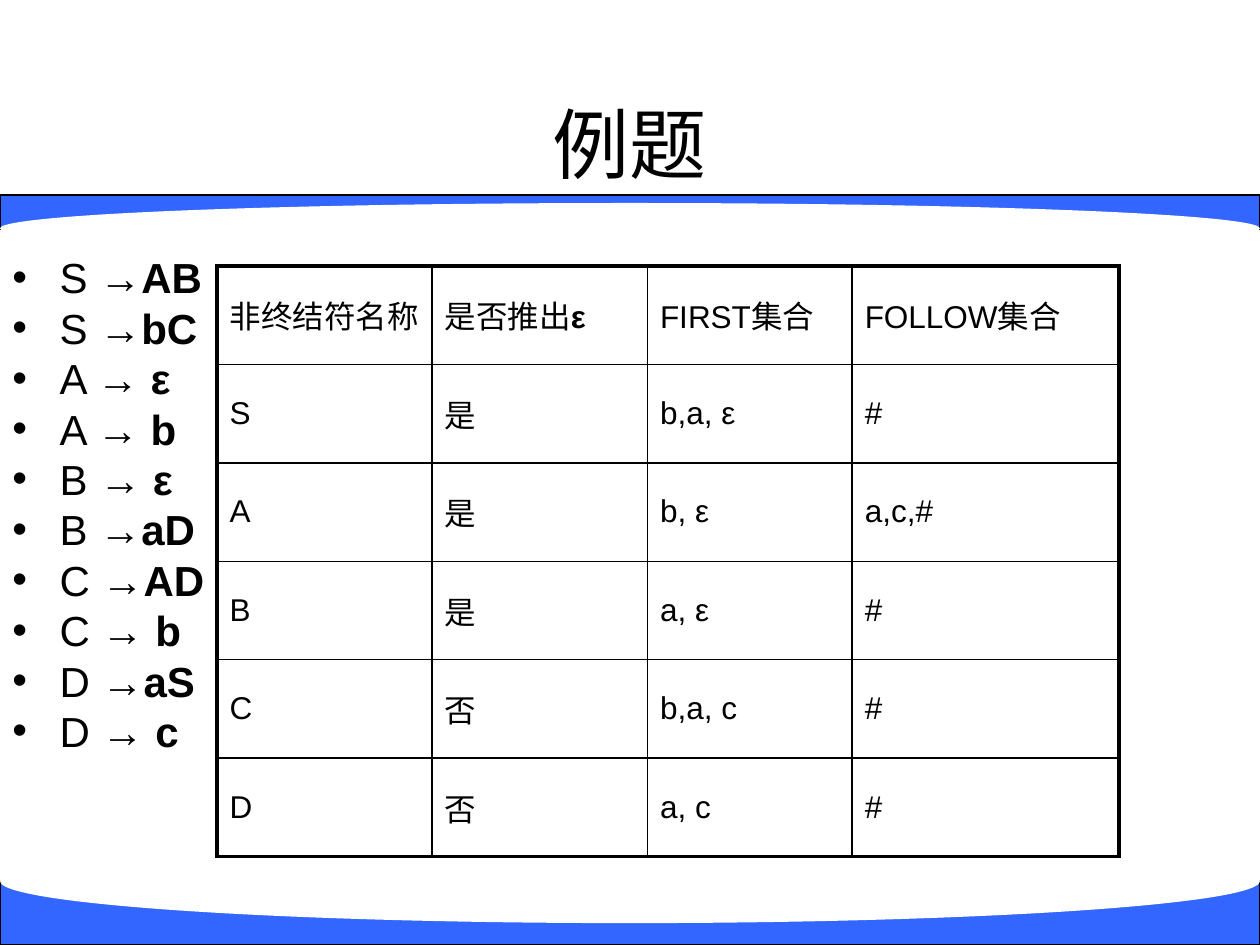
from lxml import etree
from pptx import Presentation
from pptx import util as u
from pptx.dml.color import RGBColor
from pptx.enum import shapes, text
from pptx.oxml import ns

Pt = u.Pt
BLACK, WHITE, BLUE = "000000", "FFFFFF", "3366FF"
LEFT, CENTER = text.PP_ALIGN.LEFT, text.PP_ALIGN.CENTER
MIDDLE, TOP = text.MSO_ANCHOR.MIDDLE, text.MSO_ANCHOR.TOP


def color(value):
    return RGBColor.from_string(value)


def write(paragraph, runs, size=18, align=LEFT, before=0, spacing=None, bullet=None, indent=0):
    """Fill a paragraph with (text, bold) runs; indent is a hanging indent in points."""
    if bullet:
        properties = paragraph._p.get_or_add_pPr()
        properties.set("marL", str(Pt(indent)))
        properties.set("indent", str(-Pt(indent)))
        etree.SubElement(properties, ns.qn("a:buFont"), typeface="Arial")
        etree.SubElement(properties, ns.qn("a:buChar"), char=bullet)
    paragraph.alignment = align
    paragraph.space_before = Pt(before)
    if spacing:
        paragraph.line_spacing = spacing
    for content, bold in runs:
        run = paragraph.add_run()
        run.text = content
        run.font.name = "Arial"
        run.font.size = Pt(size)
        run.font.bold = bold
        run.font.color.rgb = color(BLACK)


def set_borders(cell, widths):
    """Draw the left, right, top and bottom borders, widths in points."""
    properties = cell._tc.get_or_add_tcPr()
    for index, (side, width) in enumerate(zip("LRTB", widths)):
        line = etree.Element(ns.qn(f"a:ln{side}"), w=str(Pt(width)))
        fill = etree.SubElement(line, ns.qn("a:solidFill"))
        etree.SubElement(fill, ns.qn("a:srgbClr"), val=BLACK)
        properties.insert(index, line)


class SlideBuilder:
    """Holds the slide being drawn and the shared line widths."""

    inner_line, outer_line = 1, 2.25

    def __init__(self, slide):
        self.slide = slide

    def shape(self, group, kind, box, fill, line=None):
        shape = group.shapes.add_shape(kind, *map(Pt, box))
        shape.shadow.inherit = False
        shape.fill.solid()
        shape.fill.fore_color.rgb = color(fill)
        if line:
            shape.line.color.rgb = color(line)
            shape.line.width = Pt(0.75)
        else:
            shape.line.fill.background()

    def curved_band(self, band, curve):
        """Draw a blue band whose inner edge is cut by a white ellipse."""
        group = self.slide.shapes.add_group_shape()
        self.shape(group, shapes.MSO_SHAPE.RECTANGLE, band, BLUE, BLACK)
        self.shape(group, shapes.MSO_SHAPE.OVAL, curve, WHITE)

    def text_box(self, box, paragraphs, anchor=TOP, before=0, **format):
        frame = self.slide.shapes.add_textbox(*map(Pt, box)).text_frame
        frame.word_wrap = True
        frame.vertical_anchor = anchor
        for index, runs in enumerate(paragraphs):
            paragraph = frame.add_paragraph() if index else frame.paragraphs[0]
            write(paragraph, runs, before=before if index else 0, **format)

    def table(self, left, top, widths, row_height, rows):
        height = row_height * len(rows)
        frame = self.slide.shapes.add_table(
            len(rows), len(widths), Pt(left), Pt(top), Pt(sum(widths)), Pt(height))
        table = frame.table
        table.first_row = table.horz_banding = False
        for column, width in zip(table.columns, widths):
            column.width = Pt(width)
        last_row, last_column = len(rows) - 1, len(widths) - 1
        for r, row in enumerate(rows):
            table.rows[r].height = Pt(row_height)
            for c, runs in enumerate(row):
                cell = table.cell(r, c)
                cell.vertical_anchor = MIDDLE
                cell.fill.background()
                edges = (c == 0, c == last_column, r == 0, r == last_row)
                set_borders(cell, [self.outer_line if edge else self.inner_line for edge in edges])
                write(cell.text_frame.paragraphs[0], runs)


PRODUCTIONS = [
    ("S", "→AB"), ("S", "→bC"), ("A", "→ ε"), ("A", "→ b"), ("B", "→ ε"),
    ("B", "→aD"), ("C", "→AD"), ("C", "→ b"), ("D", "→aS"), ("D", "→ c"),
]
HEADER = [
    [("非终结符名称", False)],
    [("是否推出", False), ("ε", True)],
    [("FIRST集合", False)],
    [("FOLLOW集合", False)],
]
SETS = [
    ("S", "是", "b,a, ε", "#"),
    ("A", "是", "b, ε", "a,c,#"),
    ("B", "是", "a, ε", "#"),
    ("C", "否", "b,a, c", "#"),
    ("D", "否", "a, c", "#"),
]


def main():
    presentation = Presentation()
    presentation.slide_width, presentation.slide_height = Pt(720), Pt(540)
    builder = SlideBuilder(presentation.slides.add_slide(presentation.slide_layouts[6]))

    builder.curved_band((0, 111.5, 720, 19.5), (0, 116, 720, 29))
    builder.curved_band((0, 503, 720, 37), (0, 479.5, 720, 48))
    builder.text_box((24, 54, 672, 55.5), [[("例题", False)]],
                     anchor=MIDDLE, size=44, align=CENTER)
    rules = [[(f"{symbol} ", False), (body, True)] for symbol, body in PRODUCTIONS]
    builder.text_box((0, 146, 139, 306), rules, size=24, before=5.76,
                     spacing=0.8, bullet="•", indent=27)
    body_rows = [[[(value, False)] for value in row] for row in SETS]
    builder.table(124, 152, (123, 123, 117, 152.5), 56.25, [HEADER] + body_rows)

    presentation.save("out.pptx")


if __name__ == "__main__":
    main()
